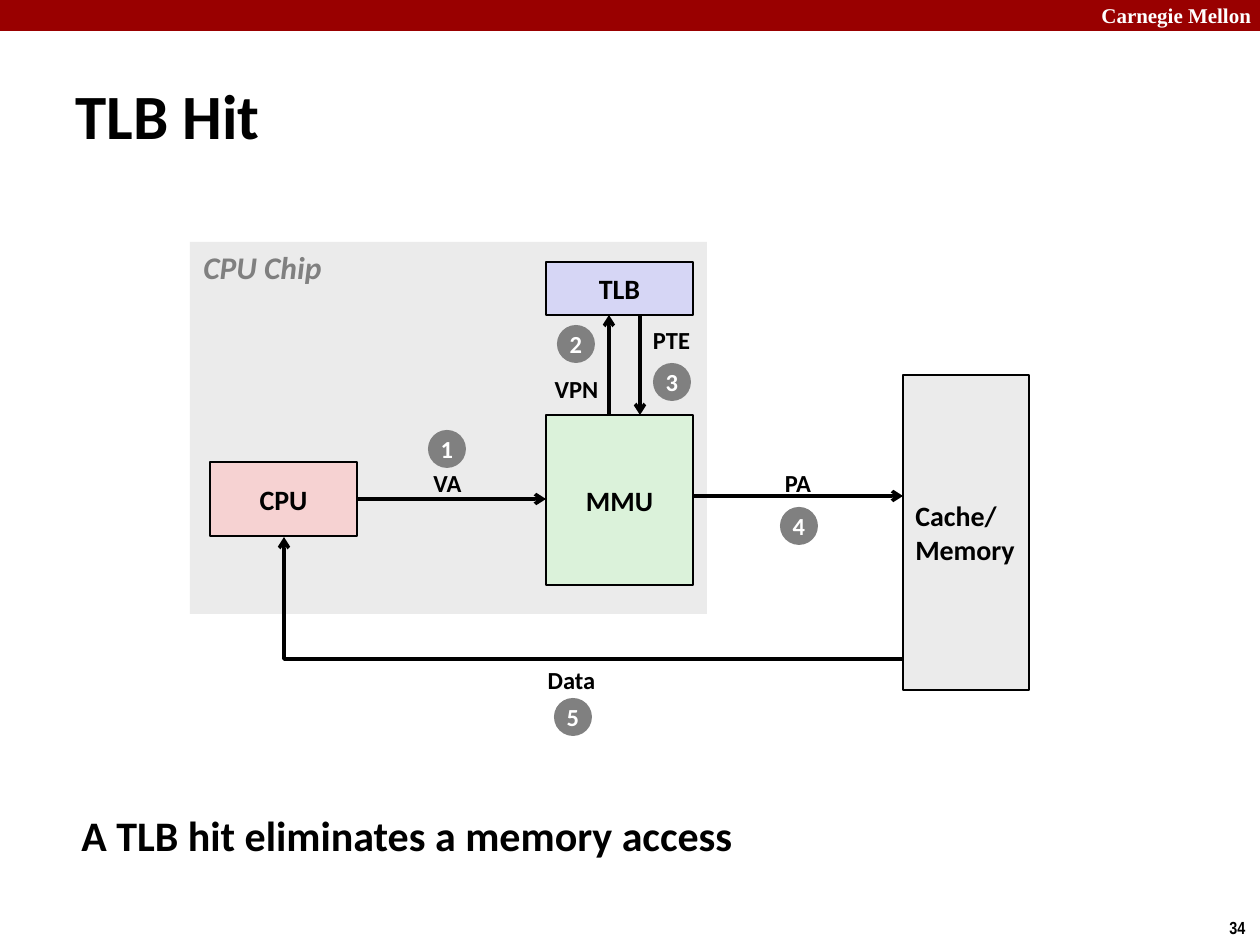
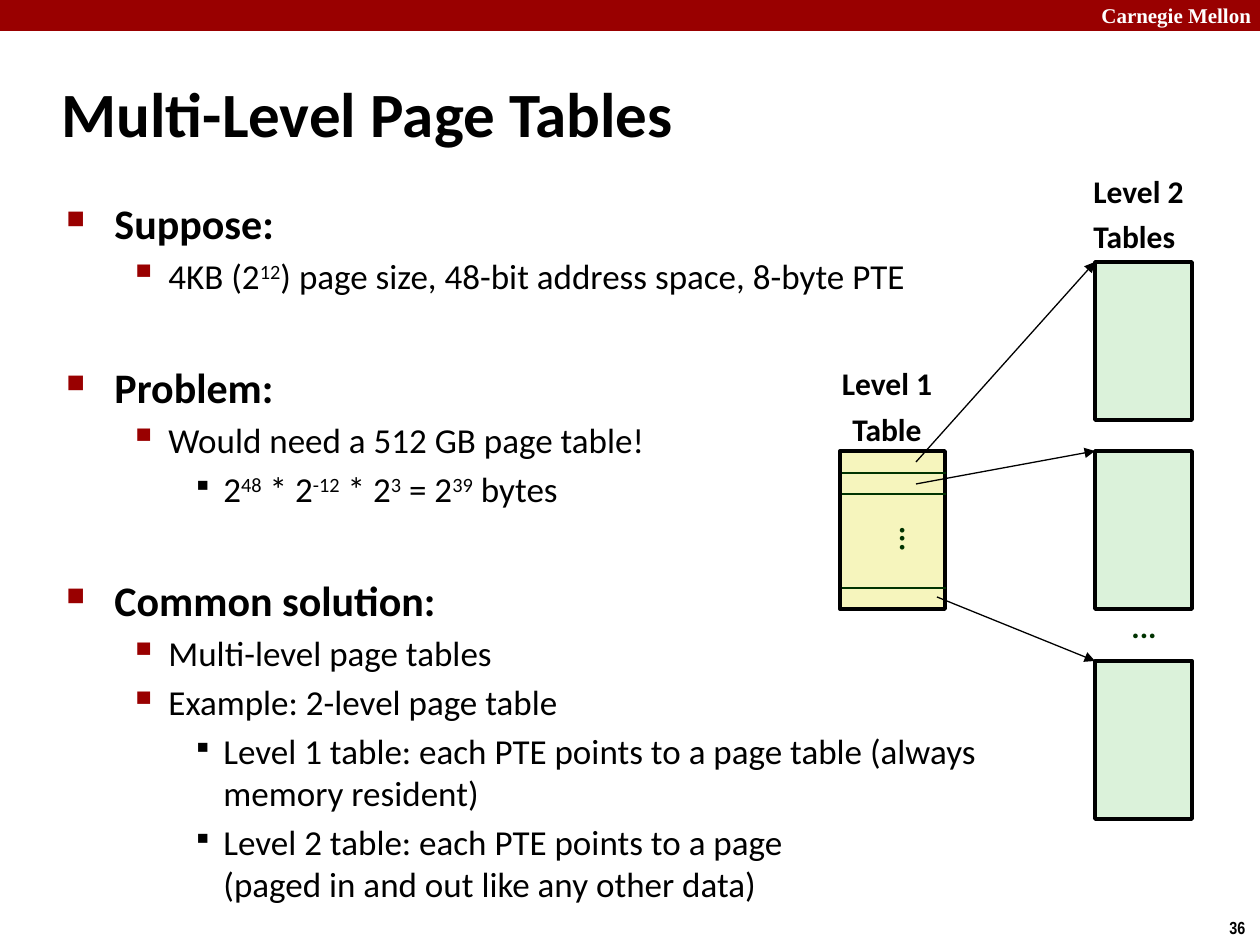
from lxml import etree
from pptx import Presentation
from pptx import util as u
from pptx.dml.color import RGBColor
from pptx.enum import shapes, text
from pptx.oxml.ns import qn

PX = u.Inches(1) / 126
BLACK, WHITE, GRAY, RED = "000000", "FFFFFF", "808080", "990000"
PALE_GRAY, GREEN, PINK, BLUE, YELLOW = "EBEBEB", "DBF2DA", "F6D2D2", "D6D6F5", "F6F5BD"
DARK_GREEN = "003300"
LEFT, CENTER = text.PP_ALIGN.LEFT, text.PP_ALIGN.CENTER
TOP, MIDDLE = text.MSO_ANCHOR.TOP, text.MSO_ANCHOR.MIDDLE

# indent, hanging, size, bold, bullet, bullet colour, bullet percent
LEVELS = [
    (48, 48, 24, True, "■", RED, 60),
    (102, 39, 20, False, "▪", RED, 110),
    (157, 31, 20, False, "▪", BLACK, 80),
]
OUTLINE = [
    (0, "Suppose:"),
    (1, "4KB (2^12^) page size, 48-bit address space, 8-byte PTE"),
    (0, "Problem:"),
    (1, "Would need a 512 GB page table!"),
    (2, "2^48^ * 2^-12^ * 2^3^ = 2^39^ bytes"),
    (0, "Common solution:"),
    (1, "Multi-level page tables"),
    (1, "Example: 2-level page table"),
    (2, "Level 1 table: each PTE points to a page table (always memory resident)"),
    (2, "Level 2 table: each PTE points to a page\n(paged in and out like any other data)"),
]


def px(length):
    """Turn px into EMU."""
    return u.Emu(round(length * PX))


def rgb(color):
    """Turn a hex string into a colour."""
    return RGBColor.from_string(color)


def style(font, size, color=BLACK, bold=True, name="Calibri", italic=False):
    """Set the look of a font."""
    font.size, font.bold, font.italic, font.name = u.Pt(size), bold, italic, name
    font.color.rgb = rgb(color)


def write(frame, words, size, color=BLACK, align=CENTER, anchor=MIDDLE,
          wrap=False, spacing=None, **look):
    """Fill a text frame with uniformly styled paragraphs."""
    frame.text = words
    frame.word_wrap, frame.vertical_anchor = wrap, anchor
    for index, paragraph in enumerate(frame.paragraphs):
        paragraph.alignment = align
        if spacing:
            paragraph.line_spacing = spacing
            paragraph.space_before = u.Pt(6.8 if index else 0)
        for run in paragraph.runs:
            style(run.font, size, color, **look)


class Region:
    """A part of a slide whose contents are placed from its top left corner."""

    def __init__(self, slide, left=0, top=0):
        """Remember the slide and the corner."""
        self.shapes, self.left, self.top = slide.shapes, left, top

    def point(self, x, y):
        """Return a slide position in EMU."""
        return px(self.left + x), px(self.top + y)

    def block(self, box, fill, words="", line=None, size=16, color=BLACK,
              align=CENTER, kind=shapes.MSO_SHAPE.RECTANGLE):
        """Draw a filled shape with optional outline and words."""
        x, y, width, height = box
        block = self.shapes.add_shape(kind, *self.point(x, y), px(width), px(height))
        block.shadow.inherit = False
        block.fill.solid()
        block.fill.fore_color.rgb = rgb(fill)
        if line:
            block.line.color.rgb = rgb(BLACK)
            block.line.width = u.Pt(line)
        else:
            block.line.fill.background()
        if words:
            write(block.text_frame, words, size, color, align)

    def label(self, box, words, size=14, **look):
        """Write a label and return its frame."""
        x, y, width, height = box
        label = self.shapes.add_textbox(*self.point(x, y), px(width), px(height))
        write(label.text_frame, words, size, **look)
        return label.text_frame

    def line(self, start, end, width=2, color=BLACK, head=None,
             kind=shapes.MSO_CONNECTOR.STRAIGHT):
        """Draw a line with an optional arrowhead and return it."""
        line = self.shapes.add_connector(kind, *self.point(*start), *self.point(*end))
        line.line.color.rgb = rgb(color)
        line.line.width = u.Pt(width)
        if head:
            etree.SubElement(line.line._get_or_add_ln(), qn("a:tailEnd"), type=head)
        etree.SubElement(line._element.spPr, qn("a:effectLst"))
        return line

    def corner_arrow(self, arrival, departure):
        """Draw an arrow going left from departure, then up to arrival."""
        arrow = self.line(arrival, departure, head="arrow", kind=shapes.MSO_CONNECTOR.ELBOW)
        properties = arrow._element.spPr
        properties.find(qn("a:xfrm")).set("rot", "10800000")
        properties.find(qn("a:prstGeom")).set("prst", "bentConnector2")


def add_page(deck, title, title_box, number):
    """Add a slide with the shared band, title and page number."""
    slide = deck.slides.add_slide(deck.slide_layouts[5])
    page = Region(slide)
    page.block((0, 0, 1260, 31), RED)
    page.label((1089, -4, 180, 38), "Carnegie Mellon", 12, color=WHITE, align=LEFT,
               anchor=TOP, name="Times New Roman")
    page.label((1217, 911, 43, 34), number, 10, align=LEFT, anchor=TOP, name="Arial Narrow")
    heading = slide.shapes.title
    heading.left, heading.top, heading.width, heading.height = map(px, title_box)
    write(heading.text_frame, title, 36, align=LEFT, wrap=True)
    return slide


def add_hit_diagram(slide, left, top):
    """Draw the CPU chip, the memory and the numbered steps of a TLB hit."""
    diagram = Region(slide, left, top)
    diagram.block((0, 0, 517, 372), PALE_GRAY)
    diagram.label((1, 0, 146, 50), "CPU Chip", 18, color=GRAY, align=LEFT,
                  anchor=TOP, italic=True)
    diagram.block((356, 173, 147, 170), GREEN, "MMU", 1)
    diagram.block((20, 220, 147, 74), PINK, "CPU", 1)
    diagram.block((356, 20, 147, 53), BLUE, "TLB", 1)
    diagram.block((713, 133, 126, 315), PALE_GRAY, "Cache/\nMemory", 1.5, align=LEFT)
    for start, end in [((167, 257), (356, 257)), ((419, 173), (419, 73)),
                       ((450, 73), (450, 173)), ((503, 254), (713, 254))]:
        diagram.line(start, end, head="arrow")
    diagram.corner_arrow((94, 295), (713, 417))
    steps = [
        ("VA", (231, 220, 53, 42), (238, 188)),
        ("VPN", (352, 126, 69, 42), (367, 83)),
        ("PTE", (450, 77, 63, 42), (463, 121)),
        ("PA", (582, 220, 52, 42), (590, 265)),
        ("Data", (345, 417, 73, 42), (364, 456)),
    ]
    for number, (signal, signal_box, badge) in enumerate(steps, 1):
        diagram.label(signal_box, signal)
        diagram.block((*badge, 38, 38), GRAY, str(number), size=14, color=WHITE,
                      kind=shapes.MSO_SHAPE.OVAL)


def add_bullet(paragraph, indent, hanging, mark, color, percent):
    """Give a paragraph a hanging bullet."""
    properties = paragraph._p.get_or_add_pPr()
    properties.set("marL", str(px(indent)))
    properties.set("indent", str(-px(hanging)))
    tint = etree.SubElement(properties, qn("a:buClr"))
    etree.SubElement(tint, qn("a:srgbClr"), val=color)
    etree.SubElement(properties, qn("a:buSzPct"), val=str(percent * 1000))
    etree.SubElement(properties, qn("a:buChar"), char=mark)


def add_outline(slide, box):
    """Write the bulleted outline, with powers marked by carets."""
    frame = slide.shapes.add_textbox(*map(px, box)).text_frame
    frame.word_wrap = True
    for index, (level, words) in enumerate(OUTLINE):
        paragraph = frame.add_paragraph() if index else frame.paragraphs[0]
        indent, hanging, size, bold, *bullet = LEVELS[level]
        add_bullet(paragraph, indent, hanging, *bullet)
        paragraph.level = level
        if index:
            paragraph.space_before = u.Pt(4 if level else 37)
        for row, row_words in enumerate(words.split("\n")):
            if row:
                paragraph.add_line_break()
            for part, part_words in enumerate(row_words.split("^")):
                run = paragraph.add_run()
                run.text = part_words
                style(run.font, size, bold=bold)
                if part % 2:
                    run._r.get_or_add_rPr().set("baseline", "30000")


def add_page_tables(slide, left, top):
    """Draw the level 1 table pointing to the level 2 tables."""
    tables = Region(slide, left, top)
    caption = dict(size=18, anchor=TOP, spacing=0.88)
    tables.label((0, 192, 116, 92), "Level 1\nTable", **caption)
    tables.label((252, 0, 116, 92), "Level 2\nTables", align=LEFT, **caption)
    tables.block((11, 280, 105, 158), YELLOW, line=2.25)
    for entry, table_top in [((87, 291), 91), ((87, 313), 280), ((108, 426), 490)]:
        tables.block((266, table_top, 97, 158), GREEN, line=2.25)
        tables.line(entry, (266, table_top), 0.75, head="triangle")
    for divider in (302, 323, 417):
        tables.line((13, divider), (117, divider), 1.5, DARK_GREEN)
    tables.label((290, 435, 50, 45), "...", color=DARK_GREEN, align=LEFT, **caption)
    entries_gap = tables.label((45, 343, 59, 38), "...", color=DARK_GREEN, **caption)
    entries_gap._txBody.bodyPr.set("vert", "eaVert")


def main():
    """Build and save the slides."""
    deck = Presentation()
    deck.slide_width, deck.slide_height = px(1260), px(945)
    hit = add_page(deck, "TLB Hit", (63, 60, 1200, 108), "34")
    add_hit_diagram(hit, 190, 242)
    Region(hit).label((69, 803, 990, 79), "A TLB hit eliminates a memory access", 24,
                      align=LEFT, anchor=TOP, wrap=True)
    levels = add_page(deck, "Multi-Level Page Tables", (49, 60, 1046, 105), "36")
    add_outline(levels, (54, 191, 954, 685))
    add_page_tables(levels, 829, 171)
    deck.save("out.pptx")


if __name__ == "__main__":
    main()
